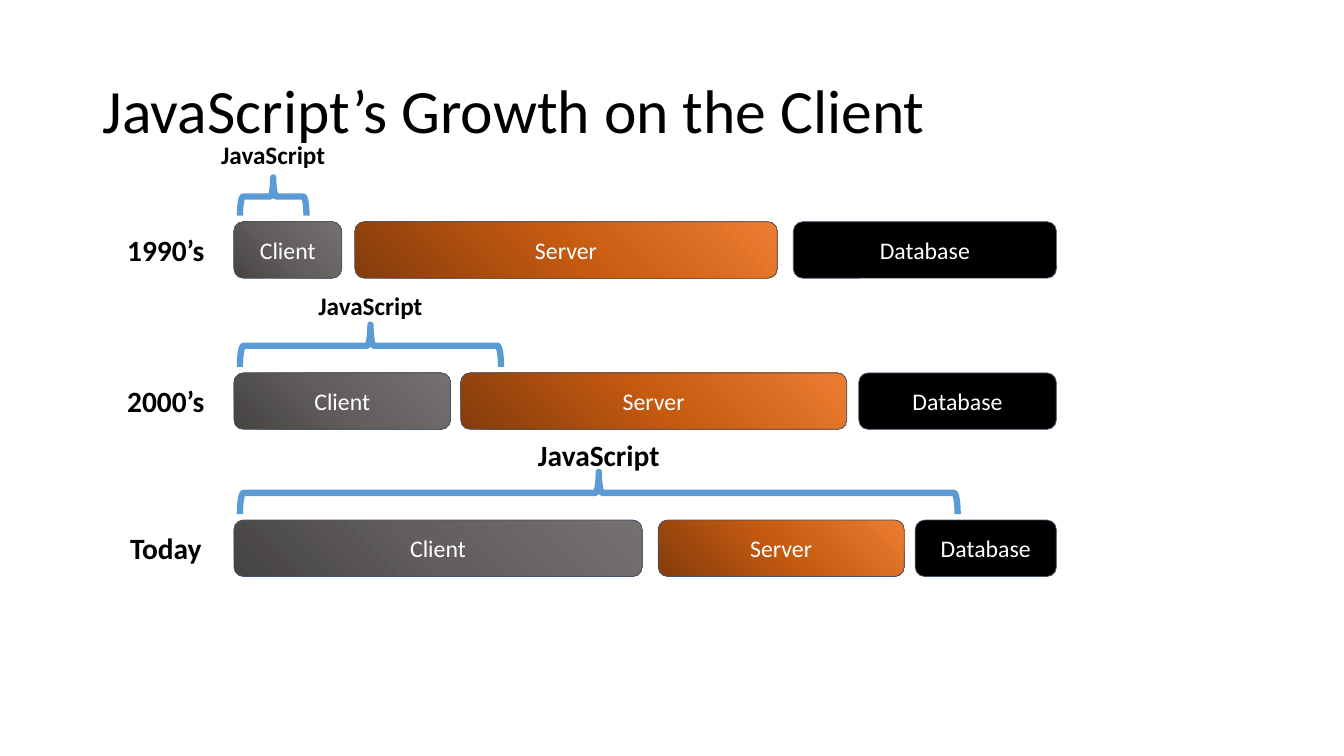
from copy import deepcopy
from pptx import Presentation
from pptx.dml.color import RGBColor
from pptx.enum.shapes import MSO_SHAPE
from pptx.enum.text import MSO_ANCHOR, MSO_AUTO_SIZE, PP_ALIGN
from pptx.oxml.ns import qn
from pptx.util import Inches, Pt

HUES = {"black": "000000", "white": "FFFFFF", "edge": "44546A", "brace": "5B9BD5"}
FILLS = {
    "Client": ["464343", "635F5F", "767171"],
    "Server": ["843C0B", "C55A11", "ED7D31"],
    "Database": [HUES["black"]],
}
ERAS = [
    {"name": "1990’s", "row": 22, "bars": [(23.2, 10.7), (35.2, 41.9), (78.7, 26.1)],
     "span": 6.6, "rise": 3.8, "size": 18},
    {"name": "2000’s", "row": 37, "bars": [(23.2, 21.5), (45.7, 38.3), (85.2, 19.6)],
     "span": 25.9, "rise": 4.2, "size": 18},
    {"name": "Today", "row": 51.6, "bars": [(23.2, 40.5), (65.3, 24.4), (90.8, 14)],
     "span": 71.2, "rise": 4.2, "size": 21},
]


def grid(*cells):
    return [Inches(cell / 10) for cell in cells]


def rgb(code):
    return RGBColor.from_string(code)


def write(shape, text, size, color="black", bold=False, align=PP_ALIGN.CENTER,
          anchor=MSO_ANCHOR.MIDDLE, inset=(0, 0), lead=1.0):
    frame = shape.text_frame
    frame.word_wrap = True
    frame.auto_size = MSO_AUTO_SIZE.NONE
    frame.vertical_anchor = anchor
    frame.margin_left = frame.margin_right = Inches(inset[0])
    frame.margin_top = frame.margin_bottom = Inches(inset[1])
    para = frame.paragraphs[0]
    para.alignment = align
    para.line_spacing = lead
    run = para.add_run()
    run.text = text
    run.font.name = "Calibri"
    run.font.size = Pt(size)
    run.font.bold = bold
    run.font.color.rgb = rgb(HUES[color])


def paint(shape, codes):
    fill = shape.fill
    if len(codes) == 1:
        fill.solid()
        fill.fore_color.rgb = rgb(codes[0])
        return
    fill.gradient()
    fill.gradient_angle = 45
    stops = shape.element.spPr.find(qn("a:gradFill")).find(qn("a:gsLst"))
    stops.insert(1, deepcopy(stops[0]))
    for place, (stop, code) in enumerate(zip(fill.gradient_stops, codes)):
        stop.position = place / 2
        stop.color.rgb = rgb(code)


def draw(slide, kind, box, line, width):
    shape = slide.shapes.add_shape(kind, *grid(*box))
    shape.shadow.inherit = False
    shape.line.color.rgb = rgb(HUES[line])
    shape.line.width = Pt(width)
    return shape


def bar(slide, name, left, top, width):
    shape = draw(slide, MSO_SHAPE.ROUNDED_RECTANGLE, (left, top, width, 5.6), "edge", 0.5)
    paint(shape, FILLS[name])
    write(shape, name, 17, color="white", inset=(0.08, 0.04))


def brace(slide, mid, base, span, rise):
    box = (mid - rise / 2, base - rise / 2 - span / 2, rise, span)
    shape = draw(slide, MSO_SHAPE.LEFT_BRACE, box, "brace", 4.5)
    shape.fill.background()
    shape.rotation = 90


def label(slide, text, mid, top, width, size):
    box = slide.shapes.add_textbox(*grid(mid - width / 2, top, width, 3.5))
    write(box, text, size, bold=True, anchor=MSO_ANCHOR.TOP)


def era(slide, name, row, bars, span, rise, size):
    for kind, (left, width) in zip(FILLS, bars):
        bar(slide, kind, left, row, width)
    mid = 23.8 + span / 2
    brace(slide, mid, row - 0.6, span, rise)
    label(slide, "JavaScript", mid, row - 8.2, 17.9, size)
    label(slide, name, 16.45, row + 1, 14.7, 21)


def main():
    deck = Presentation()
    deck.slide_width, deck.slide_height = grid(133.33, 75)
    slide = deck.slides.add_slide(deck.slide_layouts[5])
    title = slide.shapes.title
    title.left, title.top, title.width, title.height = grid(9.2, 4, 115, 14.5)
    write(title, "JavaScript’s Growth on the Client", 44, align=PP_ALIGN.LEFT,
          inset=(0.1, 0.05), lead=0.9)
    for item in ERAS:
        era(slide, **item)
    deck.save("out.pptx")


if __name__ == "__main__":
    main()
